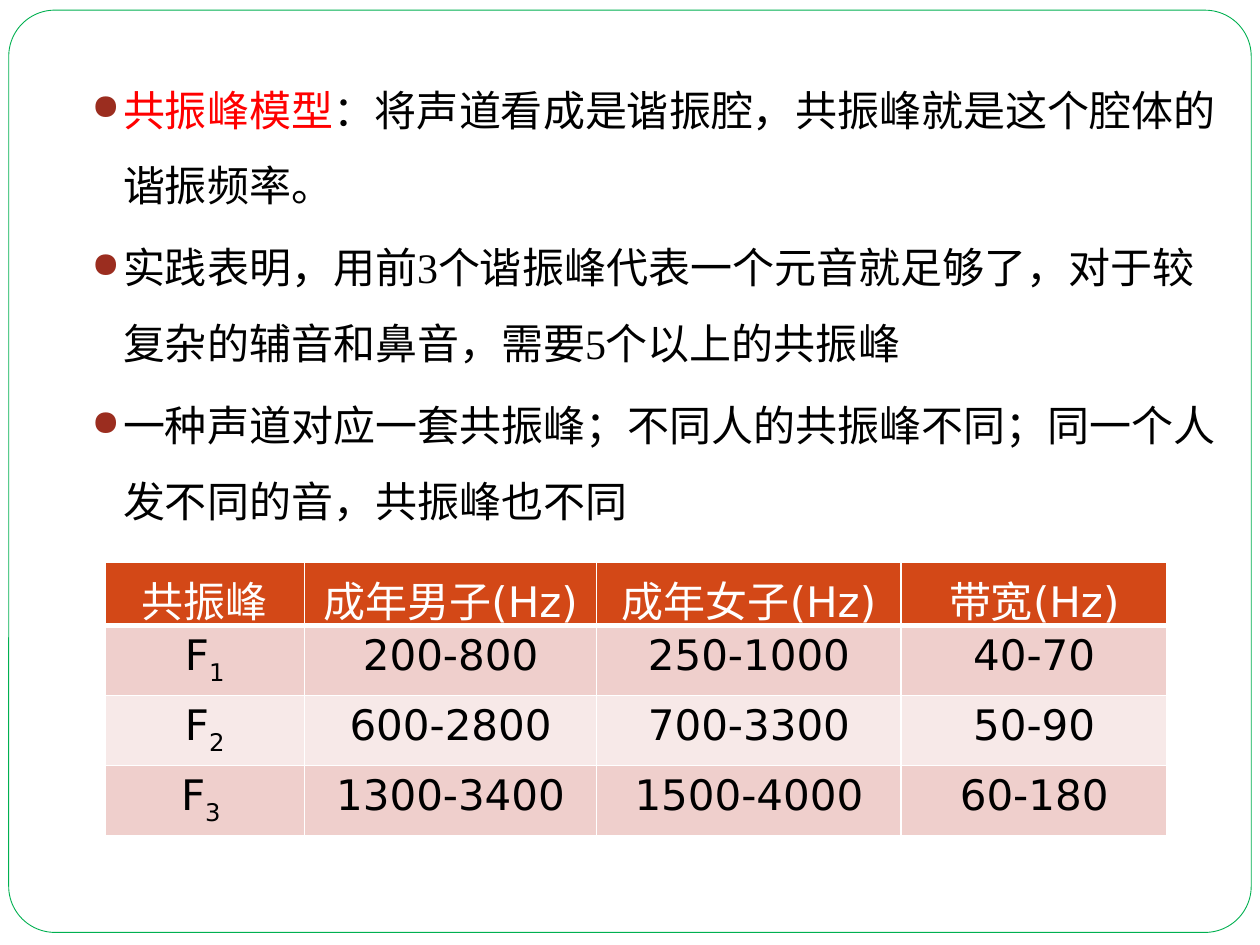
from dataclasses import dataclass

import pptx
import pptx.dml.color
import pptx.enum.shapes
import pptx.enum.text
import pptx.oxml
import pptx.oxml.ns
import pptx.util

Pt = pptx.util.Pt
Color = pptx.dml.color.RGBColor

WHITE = Color(0xFF, 0xFF, 0xFF)
BLACK = Color(0, 0, 0)
RED = Color(0xFF, 0, 0)
GREEN = Color(0x00, 0xB0, 0x50)
RUST = Color(0x9B, 0x2D, 0x1F)
ORANGE = Color(0xD3, 0x48, 0x17)
ROSE = Color(0xEF, 0xCF, 0xCC)
PINK = Color(0xF7, 0xE9, 0xE8)

BODY = {"name": "Times New Roman", "size": Pt(24)}
CELL = {"name": "DejaVu Sans", "size": Pt(24), "bold": False}


@dataclass
class Piece:
    text: str
    color: Color = BLACK
    sub: bool = False


@dataclass
class Row:
    cells: list[list[Piece]]
    fill: Color
    edges: dict[str, float]


THIN = dict.fromkeys("LRTB", 1)
HEADS = ["共振峰", "成年男子(Hz)", "成年女子(Hz)", "带宽(Hz)"]
BANDS = [
    ("1", "200-800", "250-1000", "40-70"),
    ("2", "600-2800", "700-3300", "50-90"),
    ("3 ", "1300-3400", "1500-4000", "60-180"),
]
POINTS = [
    [Piece("共振峰模型", RED),
     Piece("：将声道看成是谐振腔，共振峰就是这个腔体的谐振频率。")],
    [Piece("实践表明，用前3个谐振峰代表一个元音就足够了，"
           "对于较复杂的辅音和鼻音，需要5个以上的共振峰")],
    [Piece("一种声道对应一套共振峰；不同人的共振峰不同；"
           "同一个人发不同的音，共振峰也不同")],
]
WIDTHS = [114, 167, 174, 152]
HEIGHT = 34


def node(xml: str):
    return pptx.oxml.parse_xml(xml.replace(" ", f" {pptx.oxml.ns.nsdecls('a')} ", 1))


def write(para, pieces: list[Piece], style: dict) -> None:
    for piece in pieces:
        run = para.add_run()
        run.text = piece.text
        for key, value in style.items():
            setattr(run.font, key, value)
        run.font.color.rgb = piece.color
        if piece.sub:
            run._r.get_or_add_rPr().set("baseline", "-25000")


def bullet(para) -> None:
    props = para._p.get_or_add_pPr()
    props.set("marL", str(Pt(43.2)))
    props.set("indent", str(Pt(-18)))
    for xml in (
        f'<a:buClr ><a:srgbClr val="{RUST}"/></a:buClr>',
        '<a:buSzPct val="85000"/>',
        '<a:buChar char="●"/>',
    ):
        props.append(node(xml))


def border(cell, edges: dict[str, float]) -> None:
    props = cell._tc.get_or_add_tcPr()
    for spot, (side, width) in enumerate(edges.items()):
        props.insert(spot, node(
            f'<a:ln{side} w="{Pt(width)}"><a:solidFill>'
            f'<a:srgbClr val="{WHITE}"/></a:solidFill></a:ln{side}>'))


def add_frame(slide) -> None:
    frame = slide.shapes.add_shape(
        pptx.enum.shapes.MSO_SHAPE.ROUNDED_RECTANGLE,
        Pt(5), Pt(5.8), Pt(710), Pt(527))
    frame.adjustments[0] = 0.05
    frame.shadow.inherit = False
    frame.fill.solid()
    frame.fill.fore_color.rgb = WHITE
    frame.line.color.rgb = GREEN
    frame.line.width = Pt(0.5)


def add_points(slide) -> None:
    box = slide.shapes.add_textbox(Pt(20), Pt(30.2), Pt(686), Pt(336))
    text = box.text_frame
    text.word_wrap = True
    for spot, pieces in enumerate(POINTS):
        para = text.add_paragraph() if spot else text.paragraphs[0]
        para.line_spacing = 1.5
        if spot:
            para.space_before = Pt(3.7)
        bullet(para)
        write(para, pieces, BODY)


def add_grid(slide) -> None:
    rows = [Row([[Piece(head, WHITE)] for head in HEADS], ORANGE, THIN | {"B": 3})]
    for spot, (mark, *spans) in enumerate(BANDS):
        cells = [[Piece("F"), Piece(mark, sub=True)]]
        cells += [[Piece(span)] for span in spans]
        rows.append(Row(cells, PINK if spot % 2 else ROSE, THIN))

    table = slide.shapes.add_table(
        len(rows), len(WIDTHS), Pt(60), Pt(321.3),
        Pt(sum(WIDTHS)), Pt(HEIGHT * len(rows))).table
    table.first_row = table.horz_banding = False
    for column, width in zip(table.columns, WIDTHS):
        column.width = Pt(width)
    for line, row in zip(table.rows, rows):
        line.height = Pt(HEIGHT)
        for cell, pieces in zip(line.cells, row.cells):
            cell.fill.solid()
            cell.fill.fore_color.rgb = row.fill
            border(cell, row.edges)
            para = cell.text_frame.paragraphs[0]
            para.alignment = pptx.enum.text.PP_ALIGN.CENTER
            write(para, pieces, CELL)


def main() -> None:
    deck = pptx.Presentation()
    deck.slide_width, deck.slide_height = Pt(720), Pt(540)
    slide = deck.slides.add_slide(deck.slide_layouts[6])
    add_frame(slide)
    add_points(slide)
    add_grid(slide)
    deck.save("out.pptx")


if __name__ == "__main__":
    main()
